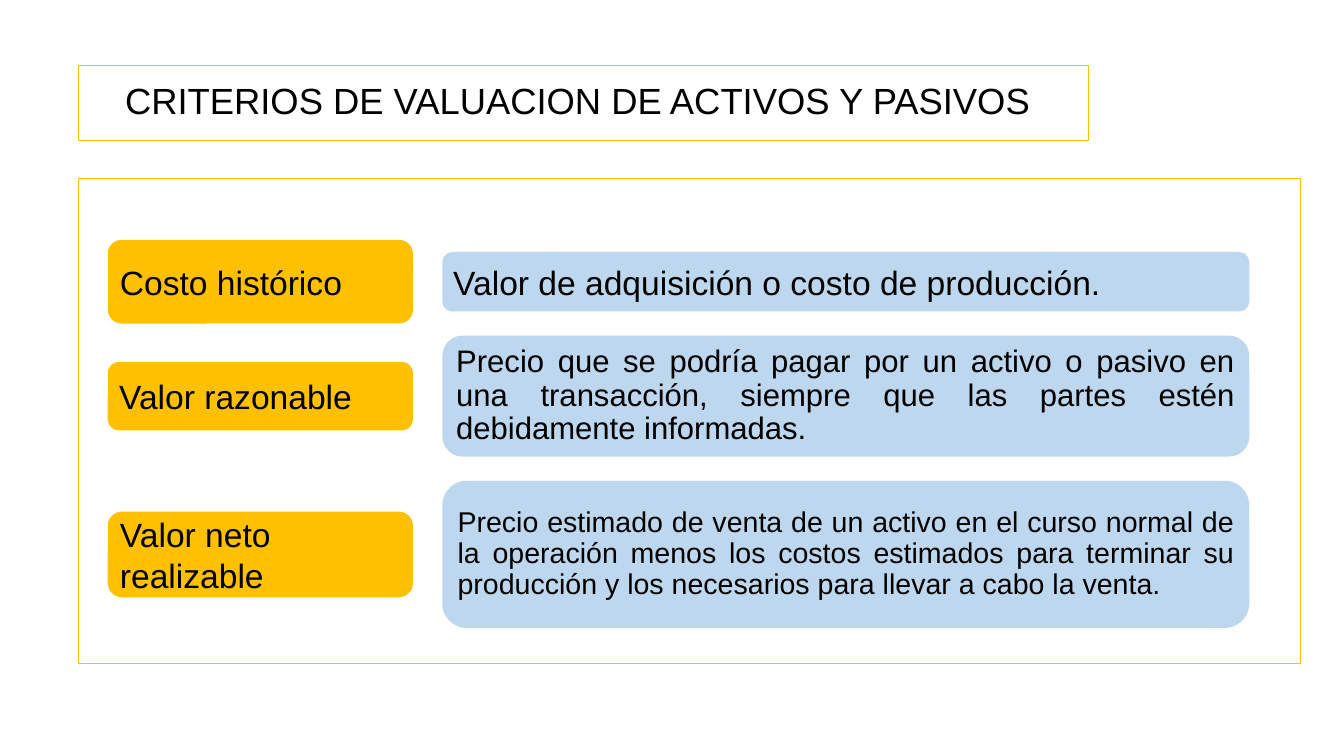
from dataclasses import dataclass

from pptx import Presentation
from pptx.dml.color import RGBColor
from pptx.enum.shapes import MSO_SHAPE
from pptx.enum.text import MSO_ANCHOR, PP_ALIGN
from pptx.util import Emu, Pt

PX = 9144  # EMU per px, 100 px to the inch


@dataclass(frozen=True)
class Theme:
    font: str = "Arial"
    text: str = "000000"
    accent: str = "FFC000"
    detail: str = "BDD7EE"
    border: float = 0.75
    title_size: float = 26
    label_size: float = 24


THEME = Theme()

TITLE = "CRITERIOS DE VALUACION DE ACTIVOS Y PASIVOS "

# label, label height, description, description height, size, line spacing
CRITERIA = [
    ("Costo histórico", 83,
     "Valor de adquisición o costo de producción.", 59, 24, 1),
    ("Valor razonable", 68,
     "Precio que se podría pagar por un activo o pasivo en una transacción, "
     "siempre que las partes estén debidamente informadas.", 120, 22.2, 0.9),
    ("Valor neto realizable", 85,
     "Precio estimado de venta de un activo en el curso normal de la operación "
     "menos los costos estimados para terminar su producción y los necesarios "
     "para llevar a cabo la venta.", 146, 20.4, 0.9),
]


def px(*lengths):
    return [Emu(round(n * PX)) for n in lengths]


def write(tf, text, size, align=PP_ALIGN.LEFT, spacing=1.0, after=0):
    tf.word_wrap = True
    tf.vertical_anchor = MSO_ANCHOR.MIDDLE
    p = tf.paragraphs[0]
    p.alignment = align
    p.line_spacing = spacing
    p.space_before, p.space_after = Pt(0), Pt(after)
    r = p.add_run()
    r.text = text
    r.font.name = THEME.font
    r.font.size = Pt(size)
    r.font.color.rgb = RGBColor.from_string(THEME.text)


def outline(sp):
    sp.fill.background()
    sp.line.color.rgb = RGBColor.from_string(THEME.accent)
    sp.line.width = Pt(THEME.border)


def add_card(s, box, color, text, size, **fmt):
    sp = s.shapes.add_shape(MSO_SHAPE.ROUNDED_RECTANGLE, *px(*box))
    sp.shadow.inherit = False
    sp.fill.solid()
    sp.fill.fore_color.rgb = RGBColor.from_string(color)
    sp.line.fill.background()
    tf = sp.text_frame
    tf.margin_left, tf.margin_right, tf.margin_top, tf.margin_bottom = px(8, 8, 4, 4)
    write(tf, text, size, after=2, **fmt)


def add_title(s, box):
    title = s.shapes.title
    title.left, title.top, title.width, title.height = px(*box)
    outline(title)
    write(title.text_frame, TITLE, THEME.title_size, align=PP_ALIGN.CENTER, spacing=0.9)


def add_criteria_panel(s, box):
    """Stack the criteria, each label centred on the middle of its description."""
    left, top, width, height = box
    panel = s.shapes.add_shape(MSO_SHAPE.RECTANGLE, *px(*box))
    panel.shadow.inherit = False
    outline(panel)

    pad, label_w, gutter, detail_w, row_gap = 29, 303, 29, 801, 24
    label_x = left + pad
    detail_x = label_x + label_w + gutter
    y = top + 73
    for label, label_h, detail, detail_h, size, spacing in CRITERIA:
        label_y = y + (detail_h - label_h) / 2
        add_card(s, (label_x, label_y, label_w, label_h), THEME.accent,
                 label, THEME.label_size)
        add_card(s, (detail_x, y, detail_w, detail_h), THEME.detail,
                 detail, size, align=PP_ALIGN.JUSTIFY, spacing=spacing)
        y += detail_h + row_gap


def main():
    prs = Presentation()
    prs.slide_width, prs.slide_height = px(1334, 750)
    s = prs.slides.add_slide(prs.slide_layouts[5])
    add_title(s, (78, 65, 1002, 74))
    add_criteria_panel(s, (78, 177, 1213, 481))
    prs.save("out.pptx")


if __name__ == "__main__":
    main()
